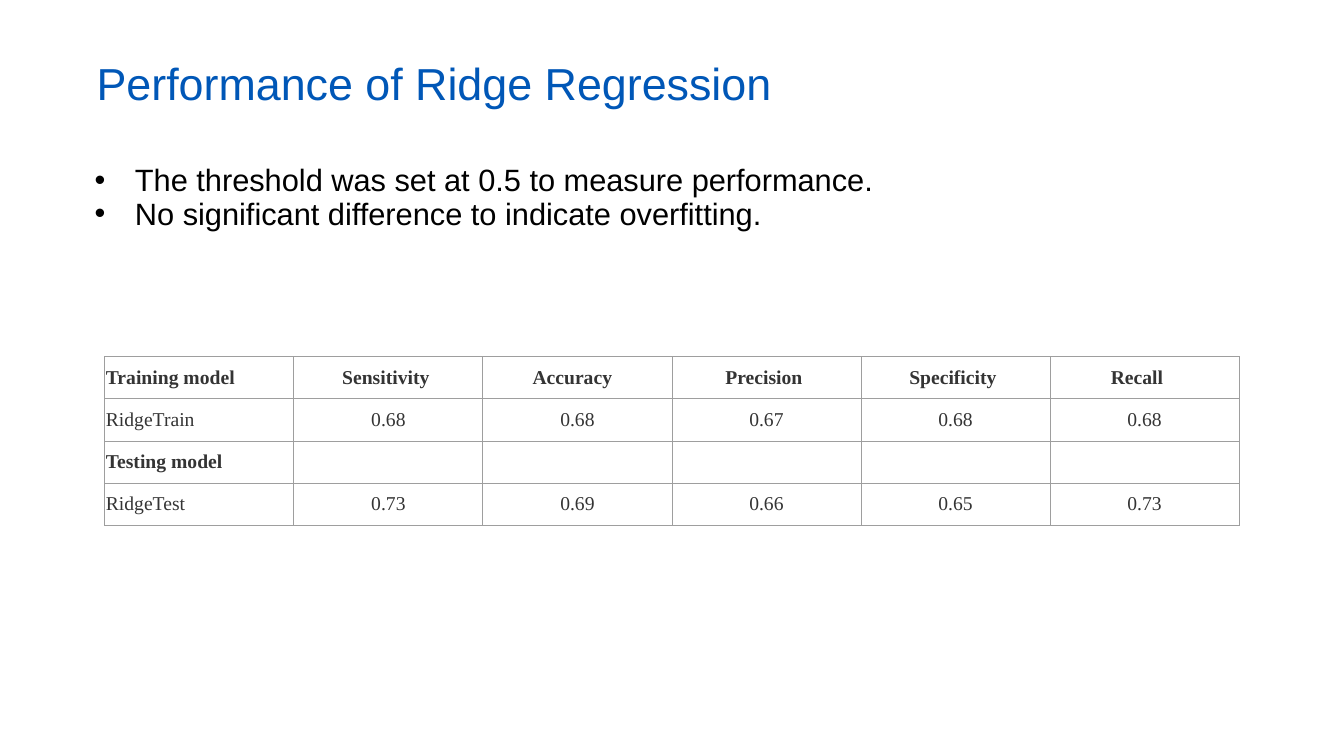
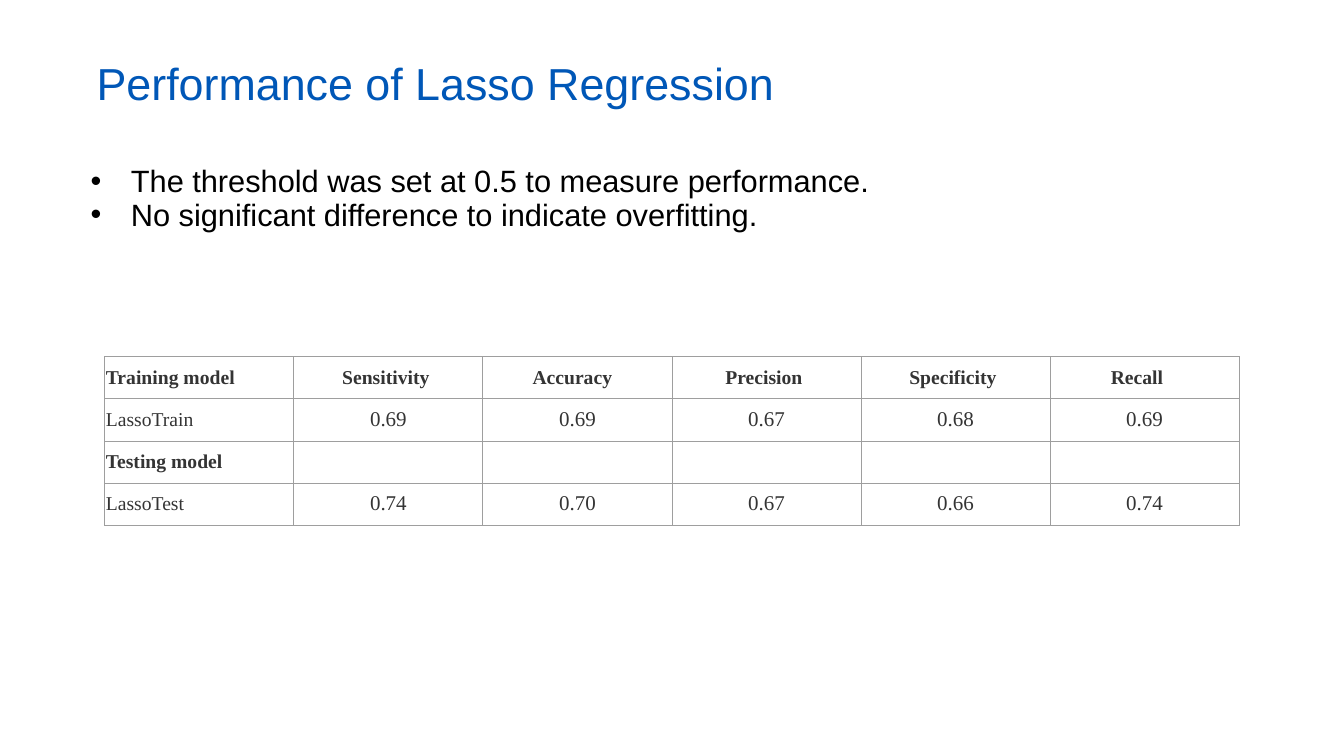
"""Builds two slides that report ridge and lasso regression performance."""
from lxml import etree
from pptx import Presentation
from pptx.dml.color import RGBColor
from pptx.enum.text import MSO_ANCHOR, PP_ALIGN
from pptx.oxml.ns import qn
from pptx.util import Inches, Pt

TOP, BOTTOM = MSO_ANCHOR.TOP, MSO_ANCHOR.BOTTOM
LEFT, CENTER = PP_ALIGN.LEFT, PP_ALIGN.CENTER
BLUE = RGBColor(0x00, 0x57, 0xB7)
BLACK = RGBColor(0x00, 0x00, 0x00)
INK = RGBColor(0x34, 0x34, 0x34)
GRID = RGBColor(0x9E, 0x9E, 0x9E)
SANS, SERIF = "Arial", "Times New Roman"

BULLETS = [
    "The threshold was set at 0.5 to measure performance.",
    "No significant difference to indicate overfitting.",
]
HEADER = ["Training model", "Sensitivity", "Accuracy", "Precision", "Specificity", "Recall"]
HEADER_INSETS = [0.01, 0.06, 0.11, 0.06, 0.06, 0.16]


class Deck:
    """Holds the shared style and the current slide."""

    def __init__(self):
        self.prs = Presentation()
        self.prs.slide_width, self.prs.slide_height = Inches(13.33), Inches(7.5)

    def new_slide(self):
        self.s = self.prs.slides.add_slide(self.prs.slide_layouts[6])

    def style(self, p, size, font, color, spacing, bold=False):
        p.line_spacing = spacing
        for r in p.runs:
            r.font.size, r.font.name, r.font.bold = Pt(size), font, bold
            r.font.color.rgb = color

    def text_box(self, x, y, w, h, text):
        tf = self.s.shapes.add_textbox(Inches(x), Inches(y), Inches(w), Inches(h)).text_frame
        tf.word_wrap = True
        tf.vertical_anchor = TOP
        tf.text = text
        return tf

    def title(self, text):
        tf = self.text_box(0.86, 0.56, 11.6, 0.6, text)
        self.style(tf.paragraphs[0], 32, SANS, BLUE, 0.9)

    def bullets(self, x, y, lines):
        tf = self.text_box(x, y, 11.25, 0.8, "\n".join(lines))
        for p in tf.paragraphs:
            pPr = p._p.get_or_add_pPr()
            pPr.set("marL", str(Inches(0.5)))
            pPr.set("indent", str(Inches(-0.4)))
            etree.SubElement(pPr, qn("a:buFont")).set("typeface", SANS)
            etree.SubElement(pPr, qn("a:buChar")).set("char", "•")
            self.style(p, 22, SANS, BLACK, 0.9)

    def borders(self, cell):
        tcPr = cell._tc.get_or_add_tcPr()
        for side in ("lnL", "lnR", "lnT", "lnB"):
            ln = etree.SubElement(tcPr, qn("a:" + side), w=str(Pt(0.75)))
            fill = etree.SubElement(ln, qn("a:solidFill"))
            etree.SubElement(fill, qn("a:srgbClr")).set("val", str(GRID))

    def cell(self, cell, text, size, bold, align, right):
        self.borders(cell)
        cell.fill.background()
        cell.vertical_anchor = BOTTOM
        cell.margin_left = cell.margin_top = Inches(0.01)
        cell.margin_right, cell.margin_bottom = Inches(right), Inches(0.1)
        if text:
            cell.text_frame.text = text
            p = cell.text_frame.paragraphs[0]
            p.alignment = align
            self.style(p, size, SERIF, INK, 1.15, bold)

    def table(self, rows, value_size):
        n_rows, n_cols = len(rows), len(HEADER)
        table = self.s.shapes.add_table(
            n_rows, n_cols, Inches(1.04), Inches(3.54), Inches(11.25), Inches(1.67)).table
        table.first_row = table.horz_banding = False
        for i, row in enumerate(rows):
            for j, text in enumerate(row):
                size = value_size if i and j else 14
                align = CENTER if j else LEFT
                right = 0.01 if i else HEADER_INSETS[j]
                self.cell(table.cell(i, j), text, size, i % 2 == 0, align, right)


def main():
    deck = Deck()
    models = [
        ("Ridge", 0.74, 1.59, 14,
         ["0.68", "0.68", "0.67", "0.68", "0.68"], ["0.73", "0.69", "0.66", "0.65", "0.73"]),
        ("Lasso", 0.7, 1.6, 15,
         ["0.69", "0.69", "0.67", "0.68", "0.69"], ["0.74", "0.70", "0.67", "0.66", "0.74"]),
    ]
    for name, x, y, value_size, train, test in models:
        deck.new_slide()
        deck.title(f"Performance of {name} Regression")
        deck.bullets(x, y, BULLETS)
        deck.table([
            HEADER,
            [name + "Train"] + train,
            ["Testing model"] + [""] * len(train),
            [name + "Test"] + test,
        ], value_size)
    deck.prs.save("out.pptx")


if __name__ == "__main__":
    main()
